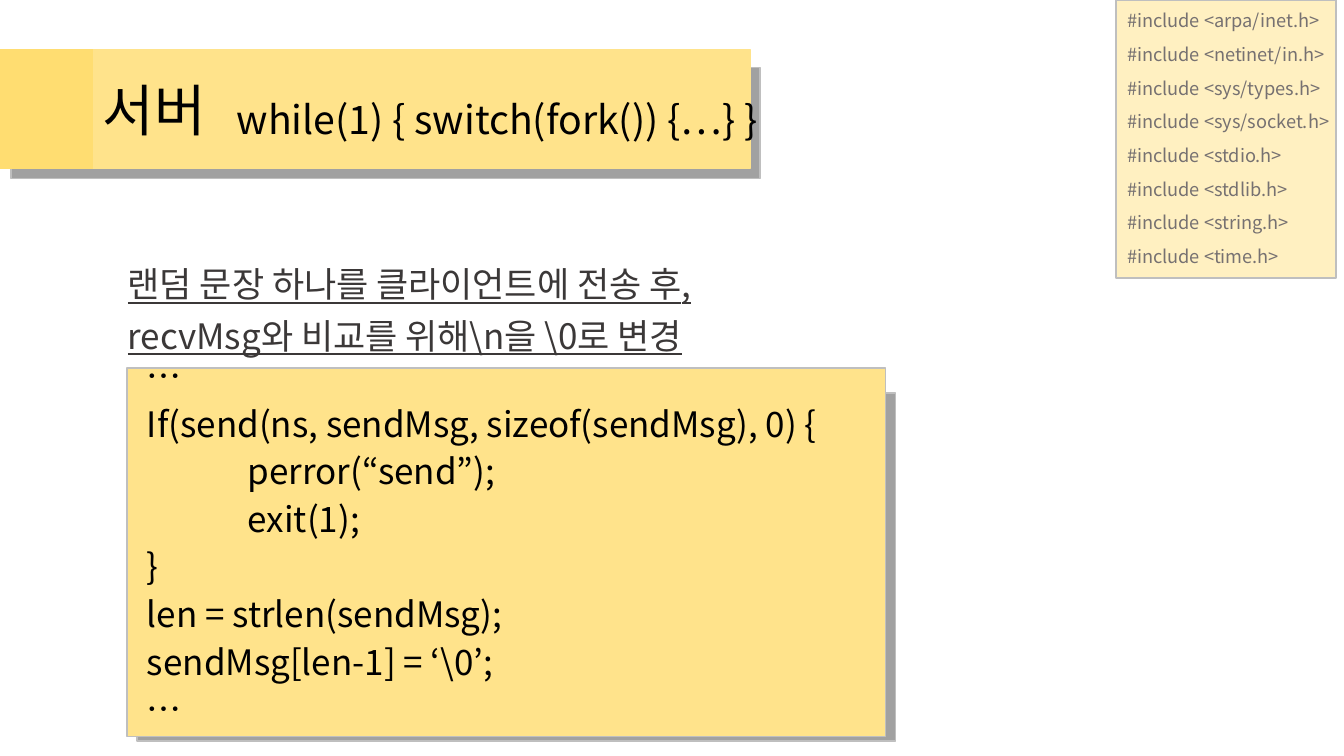
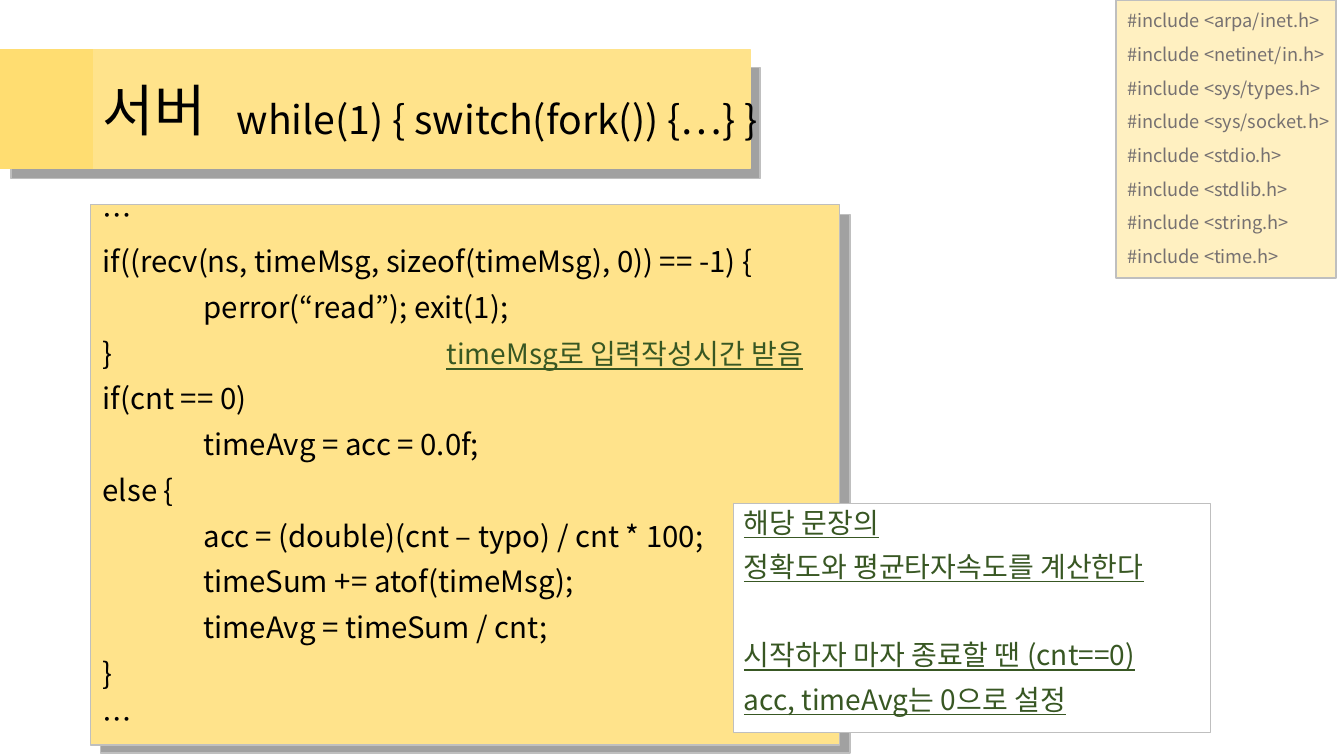
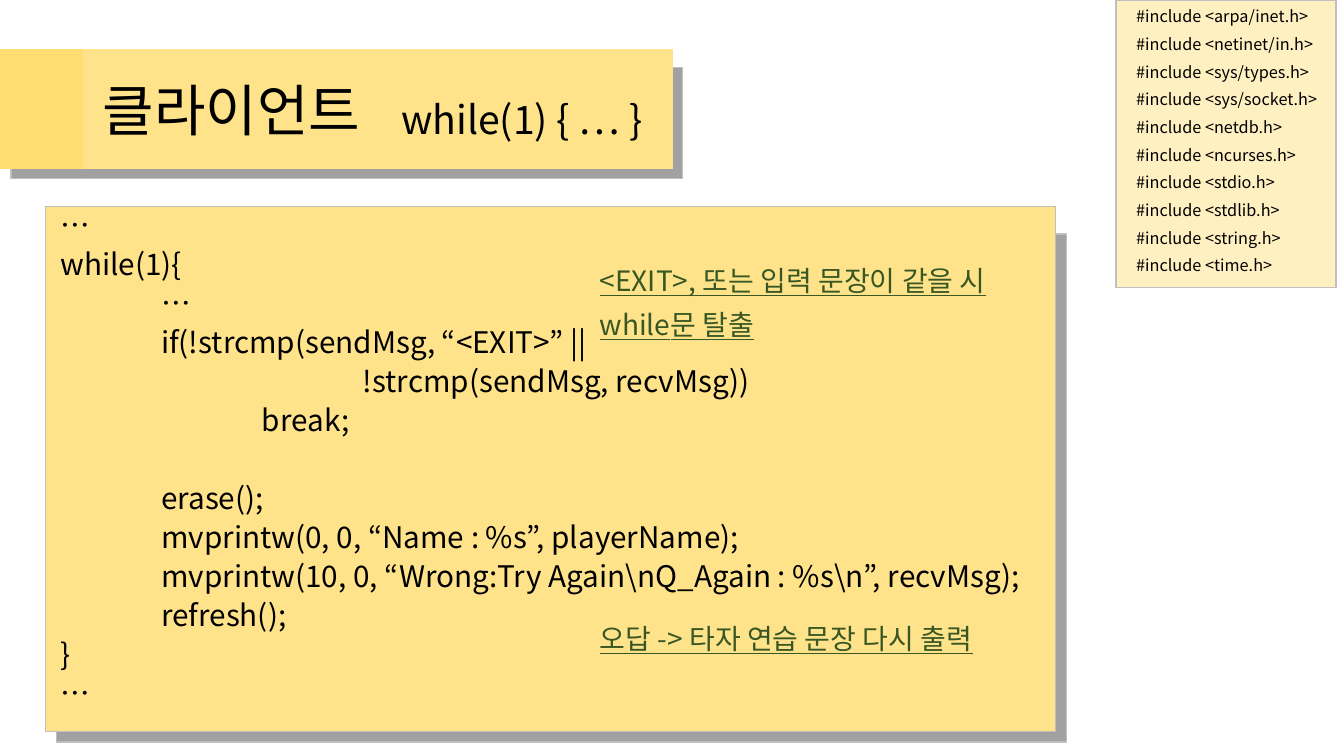
from dataclasses import dataclass

from lxml.etree import SubElement
from pptx import Presentation
from pptx.dml.color import RGBColor
from pptx.enum.shapes import MSO_SHAPE
from pptx.enum.text import MSO_ANCHOR, PP_ALIGN
from pptx.oxml.ns import qn
from pptx.util import Inches, Pt


@dataclass(frozen=True)
class Theme:
    font: str = "Noto Sans CJK KR"
    panel: str = "FFE38B"
    accent: str = "FFDD71"
    sidebar: str = "FFF0C1"
    shadow: str = "A1A1A1"
    border: str = "BFBFBF"
    white: str = "FFFFFF"
    black: str = "000000"
    caption: str = "3B3838"
    note: str = "385723"
    muted: str = "767171"
    title_size: float = 40
    subtitle_size: float = 28
    caption_size: float = 25
    note_size: float = 20
    space_before: float = 10
    line_height: float = 1.2
    tab: float = 1


THEME = Theme()


@dataclass(frozen=True)
class Box:
    left: float
    top: float
    width: float
    height: float

    def inside(self, left, top, width, height):
        return Box(self.left + left, self.top + top, width, height)

    def lengths(self):
        return [Inches(value) for value in (self.left, self.top, self.width, self.height)]


@dataclass(frozen=True)
class TextStyle:
    size: float
    color: str = THEME.black
    spacing: float = 0.9
    before: float = THEME.space_before
    underline: bool = False


TITLE = TextStyle(THEME.title_size, before=0)
SUBTITLE = TextStyle(THEME.subtitle_size)
CAPTION = TextStyle(THEME.caption_size, THEME.caption, underline=True)
NOTE = TextStyle(THEME.note_size, THEME.note, underline=True)


def add_rectangle(slide, box, fill, line=THEME.border, line_width=1):
    shape = slide.shapes.add_shape(MSO_SHAPE.RECTANGLE, *box.lengths())
    shape.shadow.inherit = False
    shape.fill.solid()
    shape.fill.fore_color.rgb = RGBColor.from_string(fill)
    shape.line.color.rgb = RGBColor.from_string(line)
    shape.line.width = Pt(line_width)
    return shape


def write_lines(text_frame, lines, style):
    """Leading tabs become indents; an empty line becomes space before the next."""
    text_frame.word_wrap = True
    paragraph = text_frame.paragraphs[0]
    skipped = 0
    for index, line in enumerate(lines):
        if not line:
            skipped += style.size * THEME.line_height * style.spacing + style.before
            continue
        if index:
            paragraph = text_frame.add_paragraph()
        paragraph.alignment = PP_ALIGN.LEFT
        paragraph.line_spacing = style.spacing
        paragraph.space_before = Pt(round(style.before + skipped, 1))
        skipped = 0
        content = line.lstrip("\t")
        depth = len(line) - len(content)
        if depth:
            paragraph._p.get_or_add_pPr().set("marL", str(Inches(depth * THEME.tab)))
        run = paragraph.add_run()
        run.text = content
        font = run.font
        font.name = THEME.font
        font.size = Pt(style.size)
        font.underline = style.underline
        font.color.rgb = RGBColor.from_string(style.color)
        SubElement(run._r.get_or_add_rPr(), qn("a:ea"), typeface=THEME.font)


def add_text(slide, box, lines, style, anchor=MSO_ANCHOR.TOP):
    text_frame = slide.shapes.add_textbox(*box.lengths()).text_frame
    text_frame.vertical_anchor = anchor
    write_lines(text_frame, lines, style)


def add_title_band(slide, box, accent_width, title, subtitle, subtitle_left):
    add_rectangle(slide, box.inside(0.1, 0.18, box.width, 1.1), THEME.shadow)
    add_rectangle(slide, box, THEME.panel, THEME.panel)
    add_rectangle(slide, box.inside(-0.01, 0, accent_width, box.height), THEME.accent, THEME.accent)
    add_text(slide, box.inside(0.91, -0.09, 11.5, 1.45), [title], TITLE, MSO_ANCHOR.MIDDLE)
    add_text(slide, box.inside(subtitle_left, 0.46, 5.52, 0.67), [subtitle], SUBTITLE)


def add_code_panel(slide, box, shadow, text, lines, style):
    """Shadow is (right, down, height); text is a box relative to the panel."""
    right, down, height = shadow
    add_rectangle(slide, box.inside(right, down, box.width, height), THEME.shadow)
    add_rectangle(slide, box, THEME.panel)
    add_text(slide, box.inside(*text), lines, style)


def add_include_list(slide, box, text_left, headers, style):
    add_rectangle(slide, box, THEME.sidebar)
    text_box = box.inside(text_left, 0.07, 2.26 - text_left, 2.77)
    add_text(slide, text_box, [f"#include <{header}>" for header in headers], style)


NETWORK_HEADERS = ["arpa/inet.h", "netinet/in.h", "sys/types.h", "sys/socket.h"]
CLIENT_HEADERS = ["netdb.h", "ncurses.h"]
STANDARD_HEADERS = ["stdio.h", "stdlib.h", "string.h", "time.h"]


def add_blank_slide(presentation):
    return presentation.slides.add_slide(presentation.slide_layouts[6])


def add_server_frame(slide):
    add_title_band(slide, Box(0.01, 0.49, 7.43, 1.18), 0.92,
                   "서버", "while(1) { switch(fork()) {…} }", 2.24)
    add_include_list(slide, Box(11.07, 0, 2.18, 2.76), 0.01,
                     NETWORK_HEADERS + STANDARD_HEADERS, TextStyle(13, THEME.muted))


def build_send_slide(presentation):
    slide = add_blank_slide(presentation)
    add_server_frame(slide)
    add_code_panel(slide, Box(1.26, 3.65, 7.52, 3.66), (0.1, 0.25, 3.45), (0.1, -0.1, 7.2, 3.93), [
        "…",
        "If(send(ns, sendMsg, sizeof(sendMsg), 0) {",
        "\tperror(“send”);",
        "\texit(1);",
        "}",
        "len = strlen(sendMsg);",
        "sendMsg[len-1] = ‘\\0’;",
        "…",
    ], TextStyle(25, spacing=0.8))
    add_text(slide, Box(1.17, 2.6, 10.84, 0.99), [
        "랜덤 문장 하나를 클라이언트에 전송 후,",
        "recvMsg와 비교를 위해\\n을 \\0로 변경",
    ], CAPTION)


def build_receive_slide(presentation):
    slide = add_blank_slide(presentation)
    add_server_frame(slide)
    add_code_panel(slide, Box(0.9, 2.03, 7.43, 5.36), (0.1, 0.1, 5.34), (0.02, -0.08, 6.99, 5.52), [
        "…",
        "if((recv(ns, timeMsg, sizeof(timeMsg), 0)) == -1) {",
        "\tperror(“read”); exit(1);",
        "}",
        "if(cnt == 0)",
        "\ttimeAvg = acc = 0.0f;",
        "else {",
        "\tacc = (double)(cnt – typo) / cnt * 100;",
        "\ttimeSum += atof(timeMsg);",
        "\ttimeAvg = timeSum / cnt;",
        "}",
        "…",
    ], TextStyle(21))
    result_note = add_rectangle(slide, Box(7.28, 5, 4.73, 2.27), THEME.white, line_width=0.75)
    result_note.text_frame.vertical_anchor = MSO_ANCHOR.TOP
    write_lines(result_note.text_frame, [
        "해당 문장의",
        "정확도와 평균타자속도를 계산한다",
        "",
        "시작하자 마자 종료할 땐 (cnt==0)",
        "acc, timeAvg는 0으로 설정",
    ], NOTE)
    add_text(slide, Box(4.33, 3.33, 4.1, 0.47), ["timeMsg로 입력작성시간 받음"], NOTE)


def build_client_slide(presentation):
    slide = add_blank_slide(presentation)
    add_title_band(slide, Box(0.01, 0.49, 6.66, 1.18), 0.82,
                   "클라이언트", "while(1) { … }", 3.87)
    add_code_panel(slide, Box(0.45, 2.05, 10.02, 5.21), (0.11, 0.27, 5.04), (0.05, 0.05, 9.8, 5.04), [
        "…",
        "while(1){",
        "\t…",
        "\tif(!strcmp(sendMsg, “<EXIT>” ||",
        "\t\t\t!strcmp(sendMsg, recvMsg))",
        "\t\tbreak;",
        "",
        "\terase();",
        "\tmvprintw(0, 0, “Name : %s”, playerName);",
        "\tmvprintw(10, 0, “Wrong:Try Again\\nQ_Again : %s\\n”, recvMsg);",
        "\trefresh();",
        "}",
        "…",
    ], TextStyle(21.2, spacing=0.7))
    add_text(slide, Box(5.85, 2.6, 5.59, 0.94),
             ["<EXIT>, 또는 입력 문장이 같을 시", "while문 탈출"], NOTE)
    add_text(slide, Box(5.85, 6.15, 5.76, 0.67), ["오답 -> 타자 연습 문장 다시 출력"], NOTE)
    add_include_list(slide, Box(11.07, 0, 2.18, 2.85), 0.1,
                     NETWORK_HEADERS + CLIENT_HEADERS + STANDARD_HEADERS,
                     TextStyle(11.6, spacing=0.7))


def main():
    presentation = Presentation()
    presentation.slide_width = Inches(13.33)
    presentation.slide_height = Inches(7.5)
    build_send_slide(presentation)
    build_receive_slide(presentation)
    build_client_slide(presentation)
    presentation.save("out.pptx")


if __name__ == "__main__":
    main()
